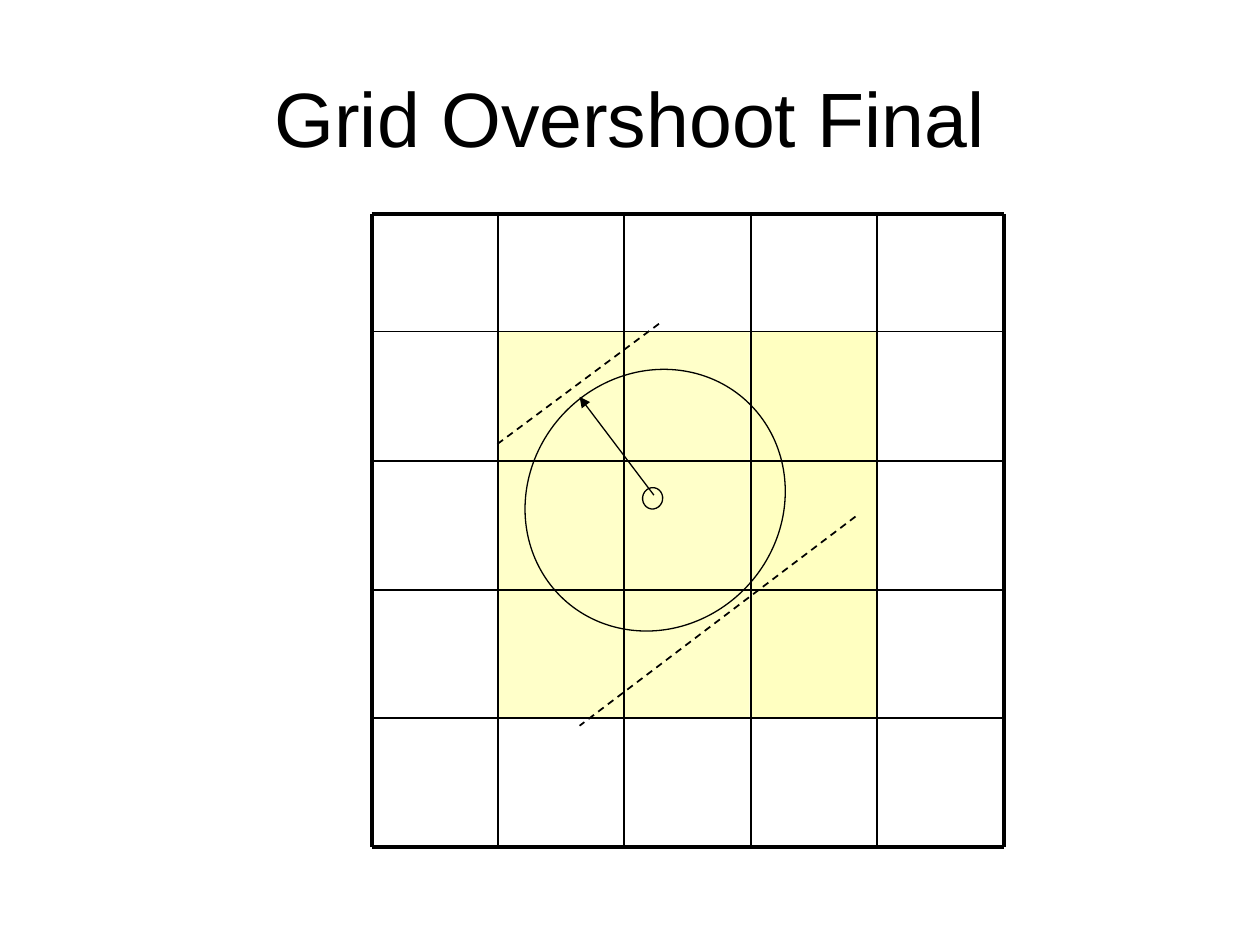
"""Build the Grid Overshoot Final slide: a 5 by 5 grid with a circle and its tangents."""
import pptx
import pptx.util
import pptx.dml.color
import pptx.enum.dml
import pptx.enum.shapes
import pptx.enum.text
from lxml import etree
from pptx.oxml.ns import qn

Inches, Pt = pptx.util.Inches, pptx.util.Pt
BLACK = pptx.dml.color.RGBColor(0x00, 0x00, 0x00)
YELLOW = pptx.dml.color.RGBColor(0xFF, 0xFF, 0x66)
SHAPE = pptx.enum.shapes.MSO_SHAPE

TITLE = "Grid Overshoot Final"
XS = [2.95, 3.95, 4.95, 5.96, 6.96, 7.97]
YS = [1.7, 2.63, 3.66, 4.68, 5.7, 6.72]
CELL = (1, 1.02)
COLUMN_OPACITY = {1: 35, 2: 35, 3: 40}
SHADED_ROWS = (1, 2, 3)
TANGENTS = [((5.23, 2.57), (3.94, 3.53)), ((6.79, 4.1), (4.6, 5.76))]
RADIUS = ((5.19, 3.93), (4.6, 3.15))
CIRCLE = ((4.13, 2.97, 2.14, 2), 312.6)
CENTRE = ((5.1, 3.87, 0.16, 0.17), 8)


def add_title(s):
    tb = s.shapes.add_textbox(Inches(0.5), Inches(0.3), Inches(9), Inches(1.25))
    tf = tb.text_frame
    tf.word_wrap = True
    tf.vertical_anchor = pptx.enum.text.MSO_ANCHOR.MIDDLE
    p = tf.paragraphs[0]
    p.alignment = pptx.enum.text.PP_ALIGN.CENTER
    r = p.add_run()
    r.text = TITLE
    r.font.name, r.font.size = "Arial", Pt(44)
    r.font.color.rgb = BLACK


def add_cell(s, x, y, opacity):
    sp = s.shapes.add_shape(SHAPE.RECTANGLE, *map(Inches, (x, y, *CELL)))
    sp.shadow.inherit = False
    sp.fill.solid()
    sp.fill.fore_color.rgb = YELLOW
    sp.line.fill.background()
    color = sp.fill._xPr.find(qn("a:solidFill"))[0]
    etree.SubElement(color, qn("a:alpha"), val=str(opacity * 1000))


def add_line(s, start, end, width, dashed=False, arrow=False):
    cn = s.shapes.add_connector(pptx.enum.shapes.MSO_CONNECTOR.STRAIGHT,
                                *map(Inches, (*start, *end)))
    cn.line.color.rgb = BLACK
    cn.line.width = Pt(width)
    if dashed:
        cn.line.dash_style = pptx.enum.dml.MSO_LINE.DASH
    if arrow:
        etree.SubElement(cn.line._get_or_add_ln(), qn("a:tailEnd"), type="triangle")
    etree.SubElement(cn._element.spPr, qn("a:effectLst"))


def add_ellipse(s, box, rotation):
    sp = s.shapes.add_shape(SHAPE.OVAL, *map(Inches, box))
    sp.shadow.inherit = False
    sp.rotation = rotation
    sp.fill.background()
    sp.line.color.rgb = BLACK
    sp.line.width = Pt(0.75)


def add_grid(s):
    for row in SHADED_ROWS:
        for col, opacity in COLUMN_OPACITY.items():
            add_cell(s, XS[col], YS[row], opacity)
    for y in YS:
        add_line(s, (XS[0], y), (XS[-1], y), 2.25 if y in (YS[0], YS[-1]) else 1)
    for x in XS:
        add_line(s, (x, YS[0]), (x, YS[-1]), 2.25 if x in (XS[0], XS[-1]) else 1)


def main():
    prs = pptx.Presentation()
    prs.slide_width, prs.slide_height = Inches(10), Inches(7.5)
    s = prs.slides.add_slide(prs.slide_layouts[6])
    add_title(s)
    add_grid(s)
    for start, end in TANGENTS:
        add_line(s, start, end, 1, dashed=True)
    add_ellipse(s, *CIRCLE)
    add_line(s, *RADIUS, 0.75, arrow=True)
    add_ellipse(s, *CENTRE)
    prs.save("out.pptx")


if __name__ == "__main__":
    main()
